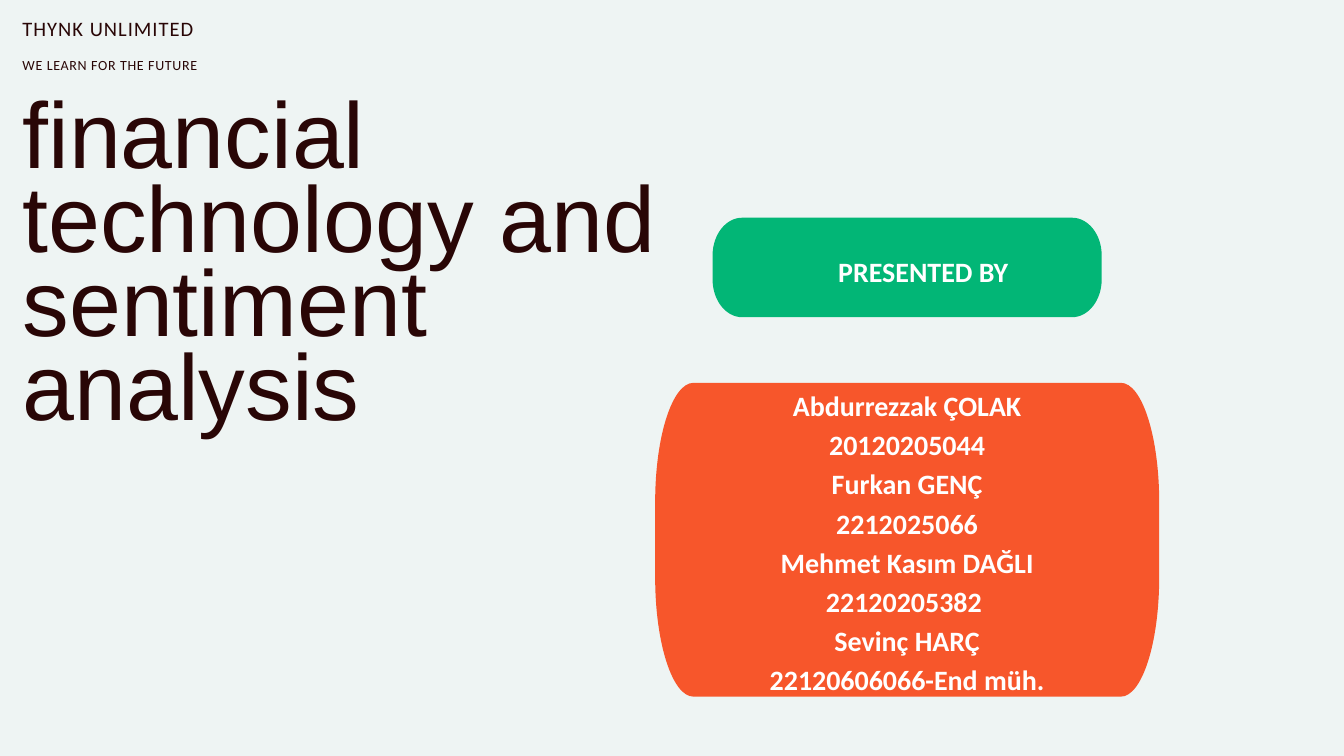
from dataclasses import dataclass

from lxml import etree
from pptx import Presentation
from pptx.dml.color import RGBColor
from pptx.enum import text
from pptx.oxml.ns import qn
from pptx.util import Inches, Pt

WIDTH, HEIGHT = Inches(20), Inches(11.25)
DARK, WHITE, GREEN, ORANGE, PALE = "290606", "FFFFFF", "02B676", "F7562B", "EEF4F3"
ROUNDNESS = 0.55  # control point distance of a quarter ellipse


@dataclass(frozen=True)
class Area:
    """Place and size in percent of the slide."""
    left: float
    top: float
    width: float
    height: float

    def emu(self) -> tuple[int, int, int, int]:
        return (across(self.left), down(self.top),
                across(self.width), down(self.height))


@dataclass(frozen=True)
class Style:
    size: float
    leading: float
    font: str = "Calibri"
    colour: str = DARK
    bold: bool = False
    tracking: float = 0


@dataclass(frozen=True)
class Panel:
    outline: Area
    corner: tuple[float, float]
    fill: str
    label: Area
    lines: tuple[str, ...]


@dataclass(frozen=True)
class Heading:
    area: Area
    wording: str
    style: Style


PANEL_STYLE = Style(30, 42, colour=WHITE, bold=True)
PANELS = (
    Panel(Area(53.02, 28.8, 28.95, 13.16), (2.2, 4.98), GREEN,
          Area(56.82, 29.69, 23.75, 11.73), ("PRESENTED BY",)),
    Panel(Area(48.75, 50.64, 37.5, 41.51), (2.85, 15.73), ORANGE,
          Area(48.75, 41.96, 37.5, 58.84),
          ("Abdurrezzak ÇOLAK", "20120205044",
           "Furkan GENÇ", "2212025066",
           "Mehmet Kasım DAĞLI", "22120205382 ",
           "Sevinç HARÇ", "22120606066-End müh.")),
)
TITLE = Heading(Area(1.67, 13.69, 47.55, 44.89),
                "financial technology and sentiment analysis",
                Style(100, 90, font="Arial"))
TAGLINES = (
    Heading(Area(1.67, 2.62, 21.1, 3.11), "THYNK UNLIMITED",
            Style(22, 22, tracking=1.1)),
    Heading(Area(1.67, 7.82, 21.1, 2.13), "WE LEARN FOR THE FUTURE",
            Style(15, 15, tracking=0.7)),
)


def across(percent: float) -> int:
    return round(WIDTH * percent / 100)


def down(percent: float) -> int:
    return round(HEIGHT * percent / 100)


def paint(colour_format, colour: str) -> None:
    colour_format.rgb = RGBColor.from_string(colour)


def write(shape, lines: tuple[str, ...], style: Style, align, anchor,
          margin: float, auto_size) -> None:
    frame = shape.text_frame
    frame_format = {"word_wrap": True, "auto_size": auto_size,
                    "vertical_anchor": anchor}
    for side in ("left", "top", "right", "bottom"):
        frame_format[f"margin_{side}"] = Inches(margin)
    for name, value in frame_format.items():
        setattr(frame, name, value)
    for index, line in enumerate(lines):
        paragraph = frame.add_paragraph() if index else frame.paragraphs[0]
        paragraph.alignment = align
        paragraph.line_spacing = Pt(style.leading)
        run = paragraph.add_run()
        run.text = line
        font_format = {"name": style.font, "size": Pt(style.size), "bold": style.bold}
        for name, value in font_format.items():
            setattr(run.font, name, value)
        paint(run.font.color, style.colour)
        if style.tracking:
            run._r.get_or_add_rPr().set("spc", str(round(style.tracking * 100)))


def bend_corners(outline) -> None:
    """Turn every second line of the outline, a cut corner, into a quarter ellipse."""
    lines = list(outline._element.iter(qn("a:lnTo")))
    points = [tuple(int(line[0].get(axis)) for axis in "xy") for line in lines]
    for index in range(1, len(lines), 2):
        begin, end = points[index - 1], points[index]
        turn = (end[0], begin[1]) if index % 4 == 3 else (begin[0], end[1])
        if index % 4 == 1:
            turn = (end[0], begin[1])
        if index % 4 == 3:
            turn = (begin[0], end[1])
        curve = etree.Element(qn("a:cubicBezTo"))
        controls = [tuple(round(p + ROUNDNESS * (t - p)) for p, t in zip(edge, turn))
                    for edge in (begin, end)]
        for x, y in (*controls, end):
            etree.SubElement(curve, qn("a:pt"), x=str(x), y=str(y))
        lines[index].getparent().replace(lines[index], curve)


def add_outline(shapes, area: Area, corner: tuple[float, float]):
    left, top, width, height = area.emu()
    right, bottom = left + width, top + height
    rx, ry = across(corner[0]), down(corner[1])
    builder = shapes.build_freeform(left + rx, top)
    builder.add_line_segments((
        (right - rx, top), (right, top + ry),
        (right, bottom - ry), (right - rx, bottom),
        (left + rx, bottom), (left, bottom - ry),
        (left, top + ry), (left + rx, top)), close=True)
    outline = builder.convert_to_shape()
    bend_corners(outline)
    return outline


def draw_panel(slide, panel: Panel) -> None:
    group = slide.shapes.add_group_shape()
    outline = add_outline(group.shapes, panel.outline, panel.corner)
    outline.shadow.inherit = False
    outline.fill.solid()
    paint(outline.fill.fore_color, panel.fill)
    outline.line.fill.background()
    label = group.shapes.add_textbox(*panel.label.emu())
    write(label, panel.lines, PANEL_STYLE, text.PP_ALIGN.CENTER,
          text.MSO_ANCHOR.MIDDLE, 0.06, text.MSO_AUTO_SIZE.NONE)


def write_heading(shape, heading: Heading) -> None:
    write(shape, (heading.wording,), heading.style, text.PP_ALIGN.LEFT,
          text.MSO_ANCHOR.TOP, 0, text.MSO_AUTO_SIZE.SHAPE_TO_FIT_TEXT)


def main() -> None:
    deck = Presentation()
    deck.slide_width, deck.slide_height = WIDTH, HEIGHT
    slide = deck.slides.add_slide(deck.slide_layouts.get_by_name("Title Only"))
    slide.background.fill.solid()
    paint(slide.background.fill.fore_color, PALE)

    for panel in PANELS:
        draw_panel(slide, panel)

    title = slide.shapes.title
    title._element.getparent().append(title._element)  # in front of the panels
    for name, value in zip(("left", "top", "width", "height"), TITLE.area.emu()):
        setattr(title, name, value)
    write_heading(title, TITLE)

    for tagline in TAGLINES:
        write_heading(slide.shapes.add_textbox(*tagline.area.emu()), tagline)

    deck.save("out.pptx")


if __name__ == "__main__":
    main()
